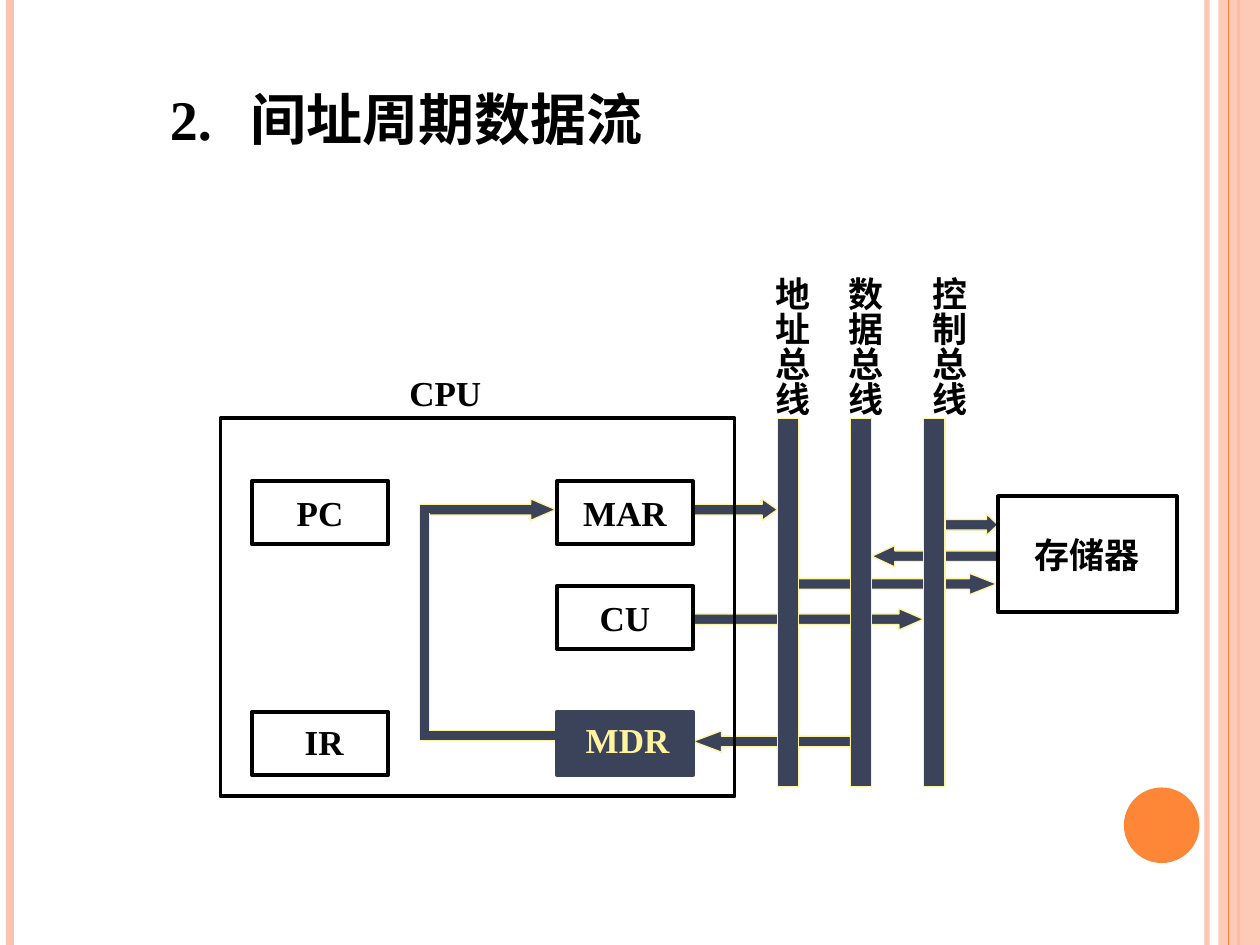
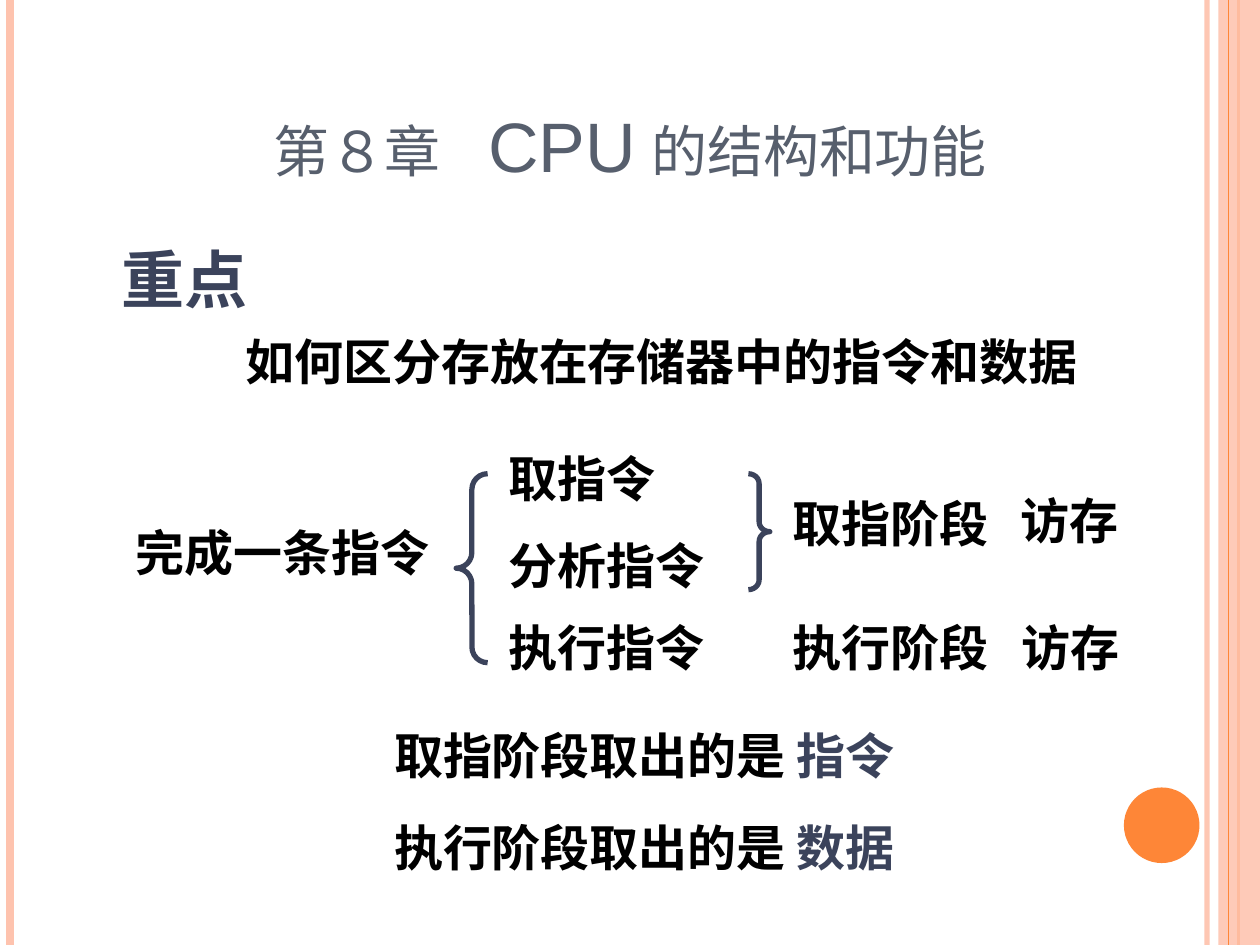
from pptx import Presentation
from pptx.util import Inches, Pt
from pptx.dml.color import RGBColor
from pptx.enum.shapes import MSO_CONNECTOR, MSO_SHAPE
from pptx.enum.text import MSO_ANCHOR, PP_ALIGN
from pptx.oxml.ns import qn
from lxml.etree import SubElement

NAVY, CREAM, BLACK = "3B435B", "FFF39D", "000000"
PEACH, ORANGE, SLATE = "FEC3AE", "FE8637", "575F6D"
SERIF, SANS, HAN = "Times New Roman", "Arial", "Noto Sans CJK SC"

deck = Presentation()
deck.slide_width, deck.slide_height = Inches(10), Inches(7.5)
cell = deck.slide_width // 10  # ten columns by seven and a half rows
tone = RGBColor.from_string


def form(kind, spot, fill=None, line=None, width=0.75):
    """Add a preset shape at (column, row, columns wide, rows high)."""
    shape = page.shapes.add_shape(kind, *[int(n * cell) for n in spot])
    shape.shadow.inherit = False
    if fill:
        shape.fill.solid()
        shape.fill.fore_color.rgb = tone(fill)
    else:
        shape.fill.background()
    if line:
        shape.line.color.rgb = tone(line)
        shape.line.width = Pt(width)
    else:
        shape.line.fill.background()
    return shape


def write(shape, parts, size, face, wrap=True, bold=True, top=0.05):
    """Fill a shape with one paragraph of (text, colour) runs."""
    frame = shape.text_frame
    frame.word_wrap = wrap
    frame.margin_top = Inches(top)
    para = frame.paragraphs[0]
    for text, color in parts:
        run = para.add_run()
        run.text = text
        run.font.color.rgb = tone(color)
        SubElement(run._r.get_or_add_rPr(), qn("a:ea"), typeface=HAN)
    para.font.size, para.font.name, para.font.bold = Pt(size), face, bold
    return para


# Shared bands
pages = [deck.slides.add_slide(deck.slide_layouts[6]) for _ in range(2)]
for page in pages:
    for col, color, width, alpha in [(9.58, PEACH, 3, 93), (0.08, PEACH, 4.5, 100),
                                     (9.83, ORANGE, 1.5, 100), (9.75, ORANGE, 0.75, 100)]:
        if col == 9.75:
            band = form(MSO_SHAPE.RECTANGLE, (9.67, 0, 0.33, 7.5), PEACH)
            tint = band.fill._xPr.find(".//" + qn("a:srgbClr"))
            SubElement(tint, qn("a:alpha"), val="87000")
        rule = page.shapes.add_connector(MSO_CONNECTOR.STRAIGHT, int(col * cell), 0,
                                         int(col * cell), deck.slide_height)
        rule.line.color.rgb, rule.line.width = tone(color), Pt(width)
        if alpha < 100:
            tint = rule.line._ln.find(".//" + qn("a:srgbClr"))
            SubElement(tint, qn("a:alpha"), val=str(alpha * 1000))
        SubElement(rule._element.spPr, qn("a:effectLst"))
    form(MSO_SHAPE.OVAL, (8.92, 6.25, 0.6, 0.6), ORANGE)

# Slide 1: data flow of the indirect cycle
page = pages[0]
head = page.shapes.add_textbox(*[int(n * cell) for n in (1.25, 0.67, 6.25, 0.63)])
para = write(head, [("2.\t间址周期数据流", BLACK)], 32, SERIF, top=0)
props = para._p.get_or_add_pPr()
tabs = SubElement(props, qn("a:tabLst"))
props.insert(0, tabs)
SubElement(tabs, qn("a:tab"), pos=str(Inches(0.64)), algn="l")

bar = 0.17
east, west = MSO_SHAPE.RIGHT_ARROW, MSO_SHAPE.LEFT_ARROW
for kind, col, row, wide, tip in [
        (west, 6.92, 4.33, 1, 1.07), (east, 5.5, 4.83, 1.83, 1.15),
        (east, 5.5, 3.96, 0.67, 0.71), (east, 6.33, 4.55, 1.58, 1.27),
        (west, 5.5, 5.8, 1.25, 1.33), (east, 3.33, 3.96, 1.08, 1.16),
        (east, 7.42, 4.08, 0.5, 0.53)]:
    arrow = form(kind, (col, row, wide, bar), NAVY, CREAM)
    arrow.adjustments[0], arrow.adjustments[1] = 0.5, tip

# Return path from MDR to MAR, with its joints
for spot in [(3.33, 5.8, 1.08, 0.08), (3.33, 4.05, 0.08, 1.83)]:
    form(MSO_SHAPE.RECTANGLE, spot, NAVY, CREAM)
for spot in [(3.36, 5.81, 0.06, 0.06), (3.34, 4.01, 0.14, 0.06)]:
    form(MSO_SHAPE.RECTANGLE, spot, NAVY, NAVY)

for i, (name, col) in enumerate([("地址总线", 5.97), ("数据总线", 6.55), ("控制总线", 7.22)]):
    form(MSO_SHAPE.RECTANGLE, (6.17 + 0.58 * i, 3.32, bar, 2.92), NAVY, CREAM)
    label = page.shapes.add_textbox(*[int(n * cell) for n in (col, 2.1, 0.53, 1.22)])
    write(label, [(name, BLACK)], 20, SERIF, wrap=False)
    label.text_frame._txBody.bodyPr.set("vert", "eaVert")

form(MSO_SHAPE.RECTANGLE, (1.75, 3.32, 4.08, 3), None, BLACK, 2.25)
wide, high = 1.08, 0.5
for name, spot in [("CU", (4.42, 4.65, wide, high)), ("MAR", (4.42, 3.82, wide, high)),
                   ("PC", (2, 3.82, wide, high)), ("存储器", (7.92, 3.94, 1.42, 0.92))]:
    box = form(MSO_SHAPE.RECTANGLE, spot, None, BLACK, 2.25)
    write(box, [(name, BLACK)], 20, SERIF, wrap=False).alignment = PP_ALIGN.CENTER
    box.text_frame.vertical_anchor = MSO_ANCHOR.MIDDLE
form(MSO_SHAPE.RECTANGLE, (2, 5.65, wide, high), None, BLACK, 2.25)
form(MSO_SHAPE.RECTANGLE, (4.42, 5.65, wide, high), NAVY, NAVY, 2.25)
for name, color, spot in [("CPU", BLACK, (3.15, 2.9, 0.77, 0.43)),
                          ("IR", BLACK, (2.32, 5.67, 0.51, 0.43)),
                          ("MDR", CREAM, (4.55, 5.65, 0.88, 0.44))]:
    label = page.shapes.add_textbox(*[int(n * cell) for n in spot])
    write(label, [(name, color)], 20, SERIF, wrap=False)

# Slide 2: telling instructions from data
page = pages[1]
for kind, spot, curve in [(MSO_SHAPE.RIGHT_BRACE, (5.94, 3.76, 0.17, 0.92), 0.46),
                          (MSO_SHAPE.LEFT_BRACE, (3.62, 3.76, 0.25, 1.5), 0.5)]:
    form(kind, spot, None, NAVY, 3).adjustments[0] = curve

for col, row, wide, text, key in [
        (3.94, 3.56, 2, "取指令", ""), (3.94, 4.25, 2.12, "分析指令", ""),
        (3.94, 4.9, 2.04, "执行指令", ""), (6.19, 3.92, 2.19, "取指阶段", ""),
        (6.19, 4.9, 2.27, "执行阶段", ""), (8.01, 4.9, 1.4, "访存", ""),
        (8, 3.89, 1.36, "访存", ""), (0.98, 4.15, 2.58, "完成一条指令", ""),
        (0.87, 1.91, 6.47, "", "重点"),
        (1.85, 2.63, 7.51, "如何区分存放在存储器中的指令和数据", ""),
        (3.03, 5.76, 5.83, "取指阶段取出的是 ", "指令"),
        (3.03, 6.49, 5.75, "执行阶段取出的是 ", "数据")]:
    size = 28 if text else 36
    note = page.shapes.add_textbox(*[int(n * cell) for n in (col, row, wide, size / 50)])
    parts = [(words, color) for words, color in [(text, BLACK), (key, NAVY)] if words]
    write(note, parts, size, HAN, top=0)

title = page.shapes.add_textbox(*[int(n * cell) for n in (0.75, 0.28, 8.5, 1.25)])
parts = [(words, SLATE) for words in ("第８章", " ", "CPU 的结构和功能")]
para = write(title, parts, 40, SANS, bold=False)
para.alignment = PP_ALIGN.CENTER
title.text_frame.vertical_anchor = MSO_ANCHOR.BOTTOM
for run in para.runs:
    run.font._element.set("cap", "small")
para.runs[1].font._element.set("spc", "1000")

deck.save("out.pptx")
